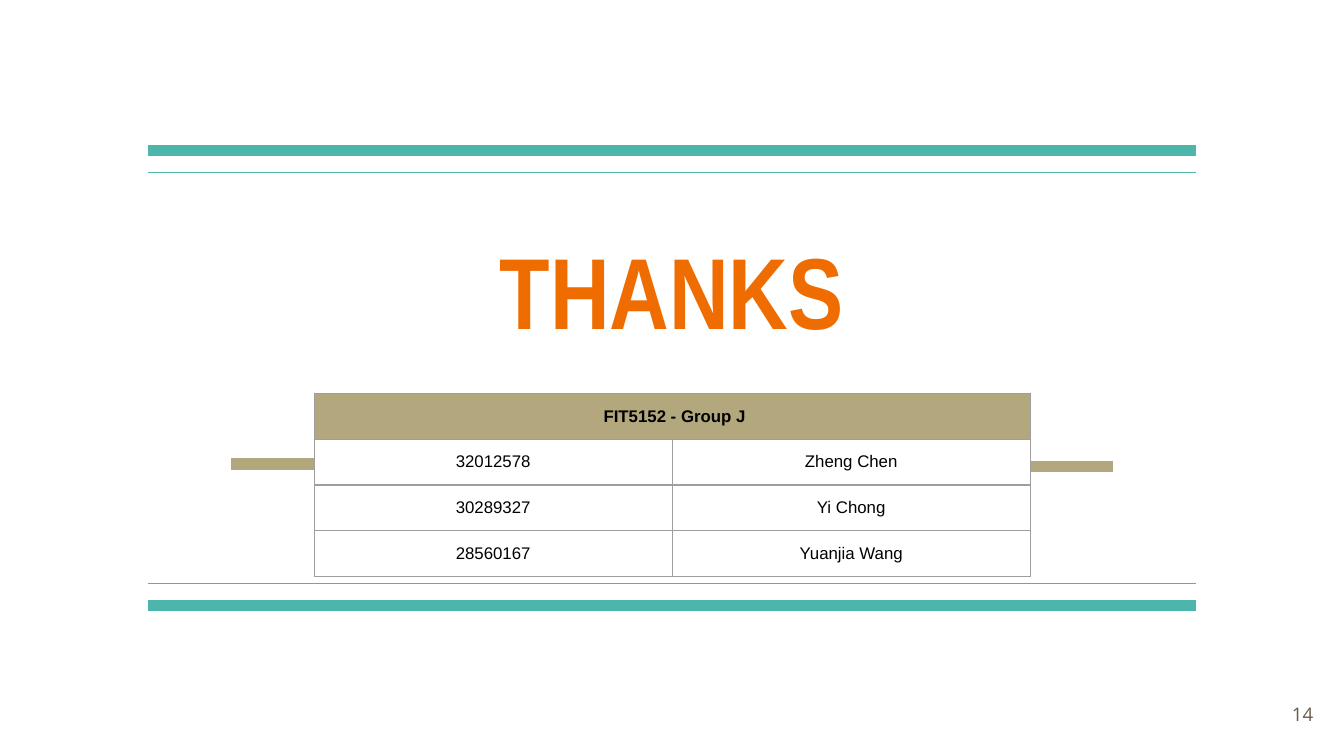
from lxml.etree import SubElement
from pptx import Presentation
from pptx.dml.color import RGBColor
from pptx.enum.shapes import MSO_CONNECTOR
from pptx.enum.text import MSO_ANCHOR, PP_ALIGN
from pptx.oxml import parse_xml
from pptx.oxml.ns import nsdecls, qn
from pptx.util import Pt

COLORS = {
    "teal": "4DB6AC",
    "sand": "B3A77D",
    "orange": "EF6C00",
    "black": "000000",
    "white": "FFFFFF",
    "border": "9E9E9E",
    "brown": "695D46",
}
INSET = 7.2
THICK, THIN = 6, 0.75
FRAME_LEFT, FRAME_RIGHT = 79.2, 640.8
TABLE_LEFT, TABLE_TOP = 168.3, 210.8
COLUMN_WIDTH, ROW_HEIGHT = 191.8, 24.4
GROUP_NAME = " FIT5152 - Group J"
MEMBERS = [
    ("32012578", "Zheng Chen"),
    ("30289327", "Yi Chong"),
    ("28560167", "Yuanjia Wang"),
]


def color(name):
    return RGBColor.from_string(COLORS[name])


def add_rule(slide, left, right, top, color_name, width):
    """Draw a horizontal line without a shadow."""
    rule = slide.shapes.add_connector(
        MSO_CONNECTOR.STRAIGHT, Pt(left), Pt(top), Pt(right), Pt(top))
    rule.line.color.rgb = color(color_name)
    rule.line.width = Pt(width)
    SubElement(rule._element.spPr, qn("a:effectLst"))


def write_text(frame, text, font, size, color_name, alignment, bold=False):
    paragraph = frame.paragraphs[0]
    paragraph.alignment = alignment
    run = paragraph.add_run()
    run.text = text
    run.font.name = font
    run.font.size = Pt(size)
    run.font.bold = bold
    run.font.color.rgb = color(color_name)


def set_frame(frame, anchor):
    frame.word_wrap = True
    frame.vertical_anchor = anchor
    frame.margin_left = frame.margin_right = Pt(INSET)
    frame.margin_top = frame.margin_bottom = Pt(INSET)


def place(shape, left, top, width, height):
    shape.left, shape.top = Pt(left), Pt(top)
    shape.width, shape.height = Pt(width), Pt(height)


def add_title(slide, text):
    title = slide.shapes.title
    place(title, FRAME_LEFT, 113.8, FRAME_RIGHT - FRAME_LEFT, 80.6)
    set_frame(title.text_frame, MSO_ANCHOR.BOTTOM)
    write_text(title.text_frame, text, "Arial Narrow", 54, "orange",
               PP_ALIGN.CENTER, bold=True)


def set_borders(cell):
    properties = cell._tc.get_or_add_tcPr()
    for index, side in enumerate(("lnL", "lnR", "lnT", "lnB")):
        properties.insert(index, parse_xml(
            f'<a:{side} {nsdecls("a")} w="{Pt(THIN)}"><a:solidFill>'
            f'<a:srgbClr val="{COLORS["border"]}"/></a:solidFill></a:{side}>'))


def fill_cell(cell, text, fill_name, bold=False):
    cell.margin_left = cell.margin_right = Pt(INSET)
    cell.margin_top = cell.margin_bottom = Pt(INSET)
    cell.fill.solid()
    cell.fill.fore_color.rgb = color(fill_name)
    if text:
        write_text(cell.text_frame, text, "Arial", 9, "black",
                   PP_ALIGN.CENTER, bold)
    set_borders(cell)


def add_member_table(slide):
    row_count = len(MEMBERS) + 1
    table = slide.shapes.add_table(
        row_count, 2, Pt(TABLE_LEFT), Pt(TABLE_TOP),
        Pt(2 * COLUMN_WIDTH), Pt(row_count * ROW_HEIGHT)).table
    for column in table.columns:
        column.width = Pt(COLUMN_WIDTH)
    for row in table.rows:
        row.height = Pt(ROW_HEIGHT)

    # Heading across both columns
    table.cell(0, 0).merge(table.cell(0, 1))
    fill_cell(table.cell(0, 0), GROUP_NAME, "sand", bold=True)
    fill_cell(table.cell(0, 1), "", "sand")

    # One row for each member
    for row_index, member in enumerate(MEMBERS, start=1):
        for column_index, text in enumerate(member):
            fill_cell(table.cell(row_index, column_index), text, "white")


def add_slide_number(slide, number):
    box = slide.shapes.add_textbox(Pt(667.4), Pt(367.2), Pt(43.2), Pt(31))
    set_frame(box.text_frame, MSO_ANCHOR.MIDDLE)
    write_text(box.text_frame, number, "Open Sans", 10, "brown",
               PP_ALIGN.RIGHT)


def main():
    presentation = Presentation()
    presentation.slide_width, presentation.slide_height = Pt(720), Pt(405)
    slide = presentation.slides.add_slide(presentation.slide_layouts[5])

    # Short bars beside the table
    add_rule(slide, 551.5, 596.2, 249.8, "sand", THICK)
    add_rule(slide, 123.8, 168.5, 248.6, "sand", THICK)

    # Double rules above and below
    for top, width in ((80.6, THICK), (92.3, THIN),
                       (324.4, THICK), (312.6, THIN)):
        add_rule(slide, FRAME_LEFT, FRAME_RIGHT, top, "teal", width)

    # Text and table
    add_title(slide, "THANKS")
    add_member_table(slide)
    add_slide_number(slide, "14")
    presentation.save("out.pptx")


if __name__ == "__main__":
    main()
